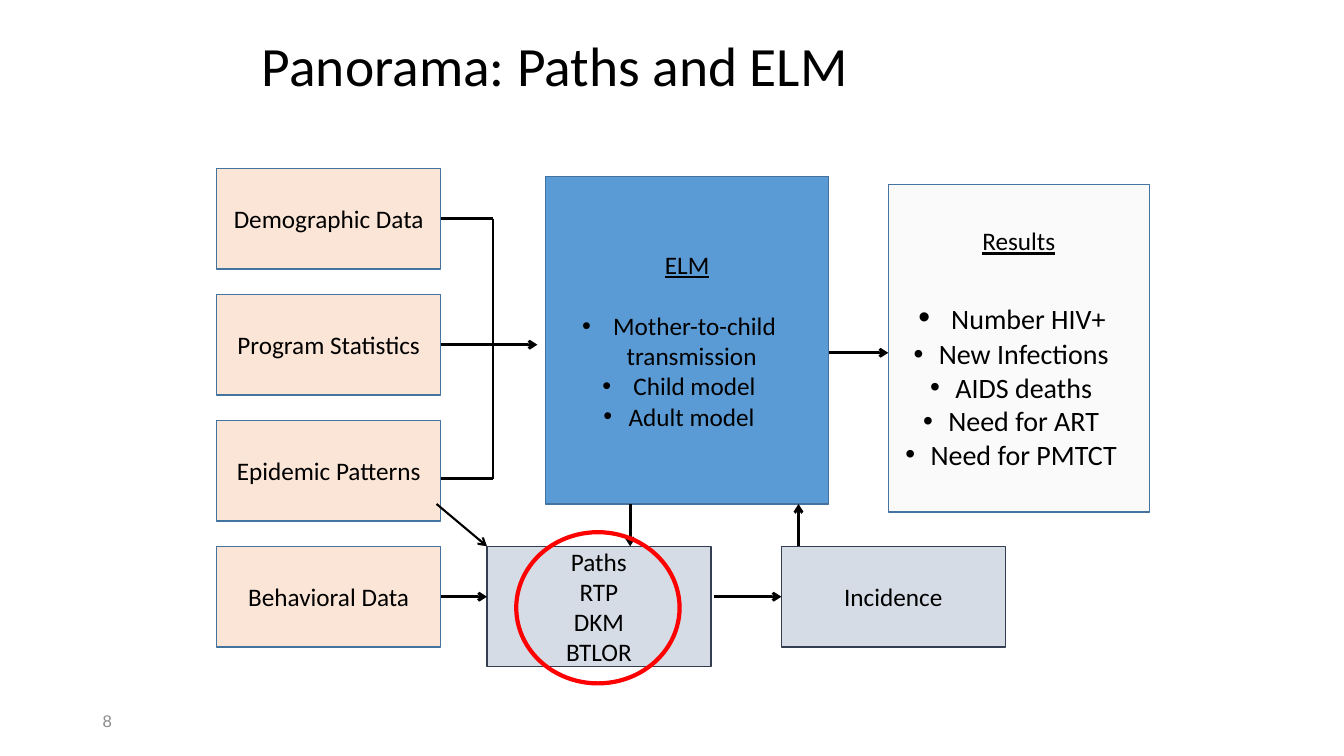
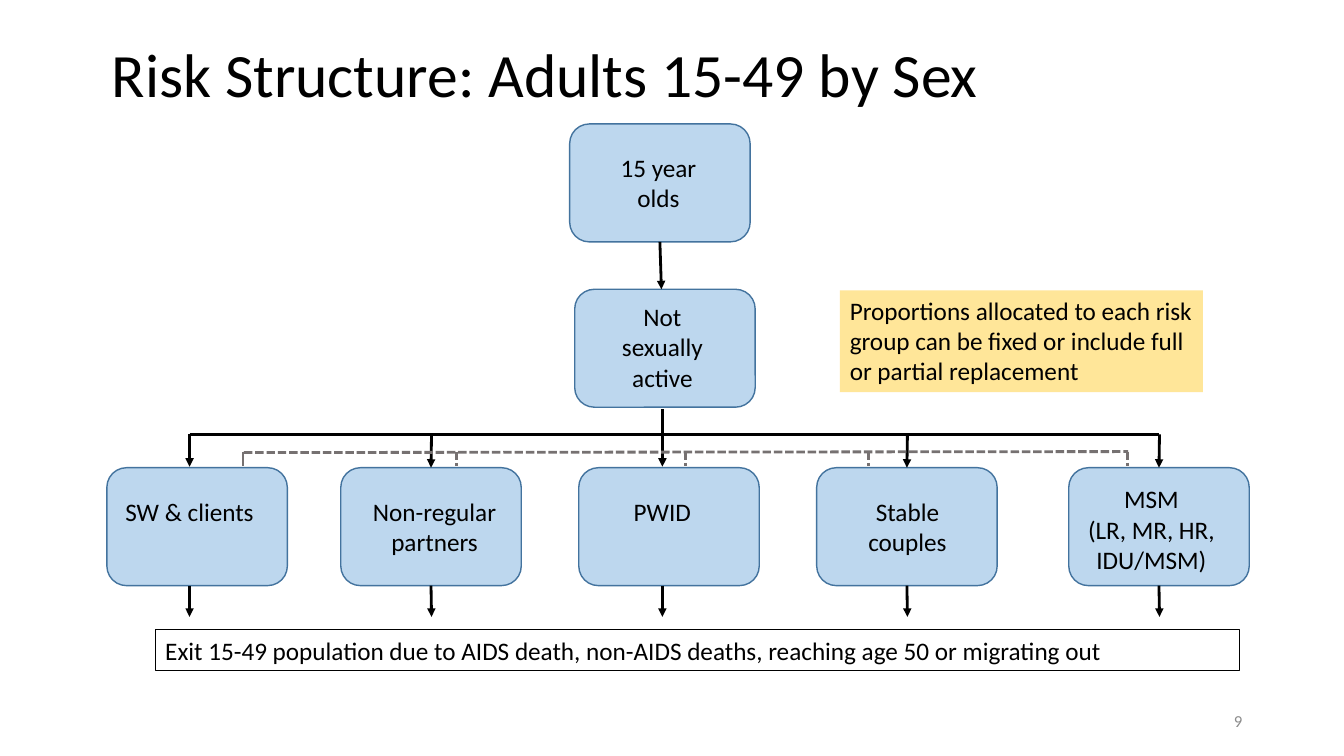
import dataclasses

import lxml.etree
import pptx
import pptx.dml.color
import pptx.enum.dml
import pptx.enum.shapes
import pptx.enum.text
import pptx.oxml.ns
import pptx.util

Inches = pptx.util.Inches
Pt = pptx.util.Pt
SHAPE = pptx.enum.shapes.MSO_SHAPE
ALIGN = pptx.enum.text.PP_ALIGN
ANCHOR = pptx.enum.text.MSO_ANCHOR
qn = pptx.oxml.ns.qn

COLORS = {
    "ink": "000000", "outline": "43739E", "input": "FBE5D6", "core": "5B9BD5",
    "results": "FAFAFA", "model": "D6DCE5", "model_outline": "333F50",
    "highlight": "FF0000", "group": "BDD7EE", "note": "FFE699",
    "return": "767171", "number": "8C8C8C",
}
FONT = "Calibri"
TOP, LEFT, BOTTOM, RIGHT = range(4)


@dataclasses.dataclass
class Box:
    left: float
    top: float
    width: float
    height: float

    def inner(self, left, top, width, height):
        return Box(self.left + left, self.top + top, width, height)

    def point(self, across, down):
        return self.left + across, self.top + down

    def lengths(self):
        return [Inches(n) for n in (self.left, self.top, self.width, self.height)]


def rgb(name):
    return pptx.dml.color.RGBColor.from_string(COLORS[name])


def write(shape, lines, size=18, align=ALIGN.CENTER, anchor=ANCHOR.MIDDLE,
          color="ink", font=FONT):
    frame = shape.text_frame
    frame.word_wrap = True
    frame.vertical_anchor = anchor
    for index, line in enumerate(lines):
        para = frame.paragraphs[0] if index == 0 else frame.add_paragraph()
        para.add_run().text = line
        para.alignment = align
        para.font.name = font
        para.font.size = Pt(size)
        para.font.color.rgb = rgb(color)
    return frame.paragraphs


def add_text(page, box, lines, **style):
    shape = page.shapes.add_textbox(*box.lengths())
    return write(shape, lines, **style)


def add_block(page, box, fill=None, outline=None, kind=SHAPE.FLOWCHART_PROCESS, weight=1):
    shape = page.shapes.add_shape(kind, *box.lengths())
    shape.shadow.inherit = False
    if fill:
        shape.fill.solid()
        shape.fill.fore_color.rgb = rgb(fill)
    else:
        shape.fill.background()
    if outline:
        shape.line.color.rgb = rgb(outline)
        shape.line.width = Pt(weight)
    else:
        shape.line.fill.background()
    return shape


def add_line(page, start, end, head=None, color="ink", weight=2, dashed=False,
             begin=None, finish=None):
    """Draw a line; begin and finish are (shape, side) pairs to join."""
    line = page.shapes.add_connector(
        pptx.enum.shapes.MSO_CONNECTOR.STRAIGHT, *[Inches(n) for n in start + end])
    if begin:
        line.begin_connect(*begin)
    if finish:
        line.end_connect(*finish)
    line.line.color.rgb = rgb(color)
    line.line.width = Pt(weight)
    if dashed:
        line.line.dash_style = pptx.enum.dml.MSO_LINE.SQUARE_DOT
    properties = line._element.spPr
    if head:
        lxml.etree.SubElement(properties.find(qn("a:ln")), qn("a:tailEnd"), type=head)
    lxml.etree.SubElement(properties, qn("a:effectLst"))


def add_bullet(para):
    properties = para._p.get_or_add_pPr()
    properties.set("marL", str(Inches(0.09)))
    properties.set("indent", str(-Inches(0.25)))
    defaults = properties.find(qn("a:defRPr"))
    for tag, key, value in (("a:buFont", "typeface", "Arial"), ("a:buChar", "char", "•")):
        bullet = lxml.etree.Element(qn(tag))
        bullet.set(key, value)
        defaults.addprevious(bullet)


def write_list(shape, heading, items, size, gap):
    """Underlined heading, a gap, then centred bullets."""
    paras = write(shape, [heading] + items, size=size)
    paras[0].font.size = Pt(18)
    paras[0].font.underline = True
    paras[0].space_after = Pt(gap)
    for para in paras[1:]:
        add_bullet(para)
    return paras


def add_page(deck, title, title_box, size, anchor, number, number_box, **number_style):
    page = deck.slides.add_slide(deck.slide_layouts[6])
    para = add_text(page, title_box, [title], size=size, align=ALIGN.LEFT, anchor=anchor)[0]
    para.line_spacing = 0.9
    add_text(page, number_box, [number], size=12, color="number", **number_style)
    return page


def draw_model_flow(page, box):
    # Input column
    names = ["Demographic Data", "Program Statistics", "Epidemic Patterns", "Behavioral Data"]
    inputs = []
    for row, name in enumerate(names):
        block = add_block(page, box.inner(0, 1.25 * row, 2.22, 1), "input", "outline")
        write(block, [name])
        inputs.append(block)
    demographic, program, _, behavioral = inputs

    # Core model, results and incidence models
    core = add_block(page, box.inner(3.26, 0.08, 2.81, 3.25), "core", "outline")
    write_list(core, "ELM", [" Mother-to-child transmission", " Child model", "Adult model"],
               size=18, gap=22)
    results = add_block(page, box.inner(6.66, 0.16, 2.59, 3.25), "results", "outline")
    paras = write_list(results, "Results",
                       [" ", "New Infections", "AIDS deaths", "Need for ART", "Need for PMTCT"],
                       size=20, gap=29)
    paras[1].runs[0].font.size = Pt(24)
    paras[1].add_run().text = "Number HIV+"
    estimators = add_block(page, box.inner(2.68, 3.75, 2.22, 1.19), "model", "model_outline")
    write(estimators, ["Paths", "RTP", "DKM", "BTLOR"])
    incidence = add_block(page, box.inner(5.6, 3.75, 2.22, 1), "model", "model_outline")
    write(incidence, ["Incidence"])

    # Bracket gathering the inputs
    add_line(page, box.point(2.22, 0.5), box.point(2.74, 0.5), begin=(demographic, RIGHT))
    add_line(page, box.point(2.74, 0.5), box.point(2.74, 3.08))
    add_line(page, box.point(2.22, 3.08), box.point(2.74, 3.08))

    # Arrows
    for start, end, options in [
        ((2.22, 1.75), (3.18, 1.75), {"begin": (program, RIGHT)}),
        ((2.22, 4.25), (2.68, 4.25), {"begin": (behavioral, RIGHT)}),
        ((4.93, 4.25), (5.6, 4.25), {"finish": (incidence, LEFT)}),
        ((2.18, 3.33), (2.68, 3.75), {"weight": 1.5}),
        ((4.1, 3.33), (4.1, 3.75), {}),
        ((5.77, 3.75), (5.77, 3.33), {}),
        ((6.07, 1.83), (6.66, 1.83), {}),
    ]:
        add_line(page, box.point(*start), box.point(*end), head="arrow", **options)

    # Highlight ring
    add_block(page, box.inner(2.97, 3.61, 1.62, 1.5), outline="highlight",
              kind=SHAPE.OVAL, weight=3)


def draw_node(page, box, lines, label):
    node = add_block(page, box, "group", "outline", SHAPE.ROUNDED_RECTANGLE)
    add_text(page, label, lines, anchor=ANCHOR.TOP)
    return node


def draw_risk_tree(page, box):
    node_width, node_height = 1.79, 1.17

    # Entry states
    entry = draw_node(page, box.inner(4.64, 0, node_width, node_height),
                      ["15 year olds"], box.inner(4.81, 0.23, 1.42, 0.71))
    draw_node(page, box.inner(4.69, 1.64, node_width, node_height),
              ["Not sexually active"], box.inner(4.85, 1.71, 1.42, 1.01))
    add_line(page, box.point(5.53, 1.17), box.point(5.55, 1.64), "triangle",
             begin=(entry, BOTTOM))

    # Risk groups: left, arrow position, label left, top and width, lines
    groups = [
        (0.05, 0.87, 0, 3.64, 1.74, ["SW & clients"]),
        (2.37, 3.27, 2.43, 3.64, 1.74, ["Non-regular partners"]),
        (4.73, 5.56, 4.69, 3.64, 1.74, ["PWID"]),
        (7.09, 7.99, 7.18, 3.64, 1.62, ["Stable couples"]),
        (9.59, 10.49, 9.54, 3.52, 1.74, ["MSM", "(LR, MR, HR, IDU/MSM)"]),
    ]
    for left, stem, label_left, label_top, label_width, lines in groups:
        node = draw_node(page, box.inner(left, 3.41, node_width, node_height), lines,
                         box.inner(label_left, label_top, label_width, 1))
        centred = abs(left + node_width / 2 - stem) < 0.02
        start = 2.83 if lines == ["PWID"] else 3.08
        add_line(page, box.point(stem, start), box.point(stem, 3.4), "triangle",
                 finish=(node, TOP) if centred else None)
        add_line(page, box.point(stem, 4.58), box.point(stem, 4.89), "triangle",
                 begin=(node, BOTTOM) if centred else None)
    add_line(page, box.point(0.87, 3.08), box.point(10.49, 3.08))

    # Dashed links between groups
    add_line(page, box.point(1.41, 3.26), box.point(10.18, 3.25), color="return", dashed=True)
    for across in (1.4, 3.52, 5.79, 7.6, 10.17):
        add_line(page, box.point(across, 3.25), box.point(across, 3.39),
                 color="return", dashed=across != 1.4)

    # Exit bar and note
    exit_bar = add_block(page, box.inner(0.53, 5.02, 10.75, 0.4), outline="ink",
                         kind=SHAPE.RECTANGLE, weight=0.75)
    write(exit_bar, ["Exit 15-49 population due to AIDS death, non-AIDS deaths, "
                     "reaching age 50 or migrating out"], align=ALIGN.LEFT, anchor=ANCHOR.TOP)
    note = add_block(page, box.inner(7.32, 1.65, 3.6, 1.01), "note", kind=SHAPE.RECTANGLE)
    write(note, ["Proportions allocated to each risk group can be fixed or include "
                 "full or partial replacement"], align=ALIGN.LEFT, anchor=ANCHOR.TOP)


def main():
    deck = pptx.Presentation()
    deck.slide_width = Inches(13.33)
    deck.slide_height = Inches(7.5)

    page = add_page(deck, "Panorama: Paths and ELM", Box(2.5, 0.33, 9, 0.87), 39.6, ANCHOR.TOP,
                    "8", Box(0.92, 6.95, 3, 0.4), align=ALIGN.LEFT, font="Arial")
    draw_model_flow(page, Box(2.15, 1.67, 9.25, 5.11))

    page = add_page(deck, "Risk Structure: Adults 15-49 by Sex", Box(1.01, 0.17, 11.5, 1.19),
                    44, ANCHOR.MIDDLE, "9", Box(9.42, 6.95, 3, 0.4), align=ALIGN.RIGHT)
    draw_risk_tree(page, Box(1.01, 1.23, 11.38, 5.42))

    deck.save("out.pptx")


if __name__ == "__main__":
    main()
